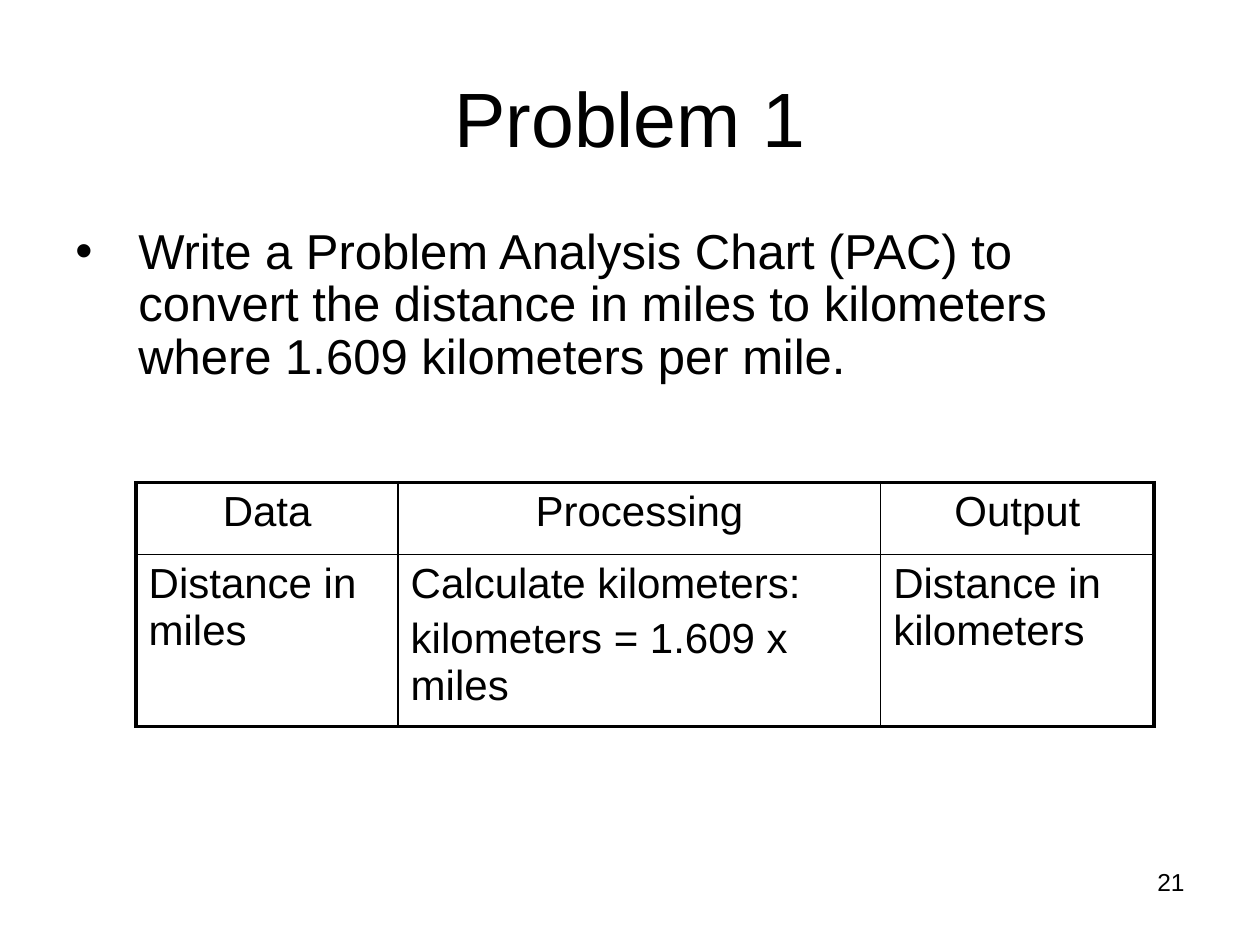
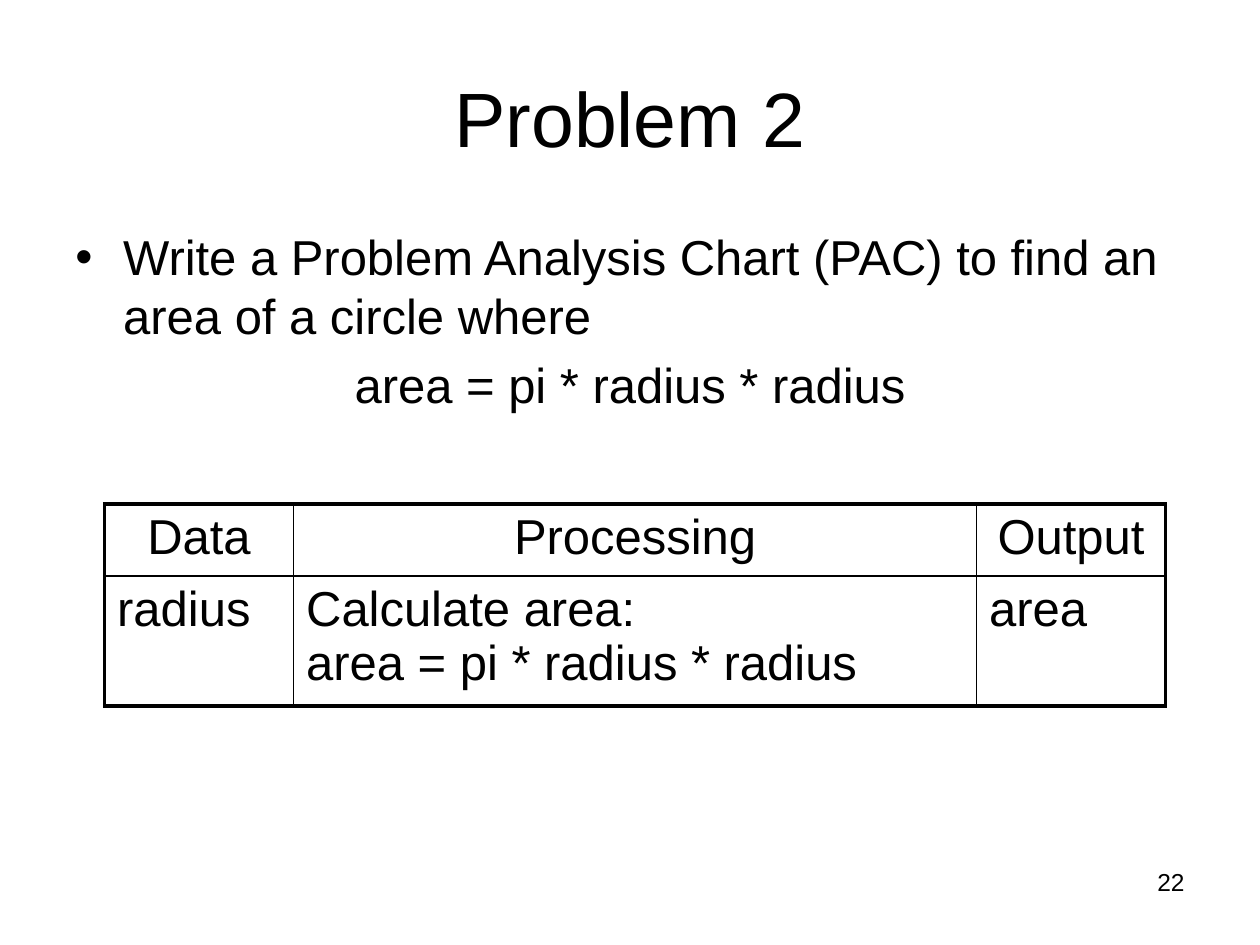
from pptx import Presentation
from pptx.dml.color import RGBColor
from pptx.enum.text import MSO_ANCHOR as Anchor, PP_ALIGN as Align
from pptx.oxml.ns import qn
from pptx.util import Inches, Pt
from lxml.etree import SubElement as Sub

COLORS = {"ink": "000000", "paper": "FFFFFF"}
FONT = "Arial"
THIN, THICK = 1, 2.25
HEADS = ["Data", "Processing", "Output"]

TITLE = (0.5, 0.3, 9, 1.25)
BODY = (0.5, 1.75, 9, 4.95)
NUMBER = (7.17, 6.83, 2.33, 0.52)


def write(frame, text, size=28, align=Align.LEFT, first=True,
          before=0, line=None, hang=0):
    """Put one paragraph in a frame; hang is the bullet's hanging indent."""
    para = frame.paragraphs[0] if first else frame.add_paragraph()
    para.text = text
    para.alignment = align
    para.space_before = Pt(0 if first else before)
    if line:
        para.line_spacing = line
    if hang:
        props = para._p.get_or_add_pPr()
        props.set("marL", str(Inches(hang)))
        props.set("indent", str(-Inches(hang)))
        Sub(props, qn("a:buFont"), typeface=FONT)
        Sub(props, qn("a:buChar"), char="•")
    font = para.runs[0].font
    font.name, font.size = FONT, Pt(size)
    font.color.rgb = RGBColor.from_string(COLORS["ink"])


def add_box(slide, box, anchor=Anchor.TOP):
    frame = slide.shapes.add_textbox(*map(Inches, box)).text_frame
    frame.word_wrap = True
    frame.vertical_anchor = anchor
    return frame


def add_edge(cell, side, width):
    edge = Sub(cell._tc.get_or_add_tcPr(), qn(f"a:ln{side}"), w=str(Pt(width)))
    fill = Sub(edge, qn("a:solidFill"))
    Sub(fill, qn("a:srgbClr"), val=COLORS["ink"])


def add_chart(slide, left, top, cols, rows, answers, size, gap=0):
    """Add a problem analysis chart; each answer is a list of paragraphs."""
    grid = [[[head] for head in HEADS], answers]
    box = (left, top, sum(cols), sum(rows))
    table = slide.shapes.add_table(len(rows), len(cols), *map(Inches, box)).table
    table.first_row = table.horz_banding = False
    for col, width in zip(table.columns, cols):
        col.width = Inches(width)
    for row, height in zip(table.rows, rows):
        row.height = Inches(height)
    for r, line in enumerate(grid):
        for c, texts in enumerate(line):
            cell = table.cell(r, c)
            outer = {"L": c == 0, "R": c == len(cols) - 1,
                     "T": r == 0, "B": r == len(rows) - 1}
            for side, edge in outer.items():
                add_edge(cell, side, THICK if edge else THIN)
            cell.fill.background()
            for i, text in enumerate(texts):
                write(cell.text_frame, text, size=size, first=i == 0, before=gap,
                      align=Align.LEFT if r else Align.CENTER)


def add_slide(deck, title, number):
    """Start a slide with its title and number; return it and its body frame."""
    slide = deck.slides.add_slide(deck.slide_layouts[6])
    slide.background.fill.solid()
    slide.background.fill.fore_color.rgb = RGBColor.from_string(COLORS["paper"])
    write(add_box(slide, TITLE, Anchor.MIDDLE), title, size=44, align=Align.CENTER)
    body = add_box(slide, BODY)
    write(add_box(slide, NUMBER), str(number), size=14, align=Align.RIGHT)
    return slide, body


def add_miles(deck):
    slide, body = add_slide(deck, "Problem 1", 21)
    write(body, "Write a Problem Analysis Chart (PAC) to convert the distance in "
          "miles to kilometers where 1.609 kilometers per mile.",
          hang=0.5, line=0.9)
    answers = [["Distance in miles"],
               ["Calculate kilometers:", "kilometers = 1.609 x miles"],
               ["Distance in kilometers"]]
    add_chart(slide, 1.08, 3.83, [2.08, 3.83, 2.17], [0.57, 1.29],
              answers, size=24, gap=4.8)


def add_circle(deck):
    slide, body = add_slide(deck, "Problem 2", 22)
    rule = "area = pi * radius * radius"
    write(body, "Write a Problem Analysis Chart (PAC) to find an area of a "
          "circle where", hang=0.38)
    write(body, rule, align=Align.CENTER, first=False, before=5.6)
    answers = [["radius"], ["Calculate area:", rule], ["area"]]
    add_chart(slide, 0.83, 4, [1.5, 5.42, 1.5], [0.57, 1.03], answers, size=28)


def main():
    deck = Presentation()
    deck.slide_width, deck.slide_height = Inches(10), Inches(7.5)
    add_miles(deck)
    add_circle(deck)
    deck.save("out.pptx")


if __name__ == "__main__":
    main()
